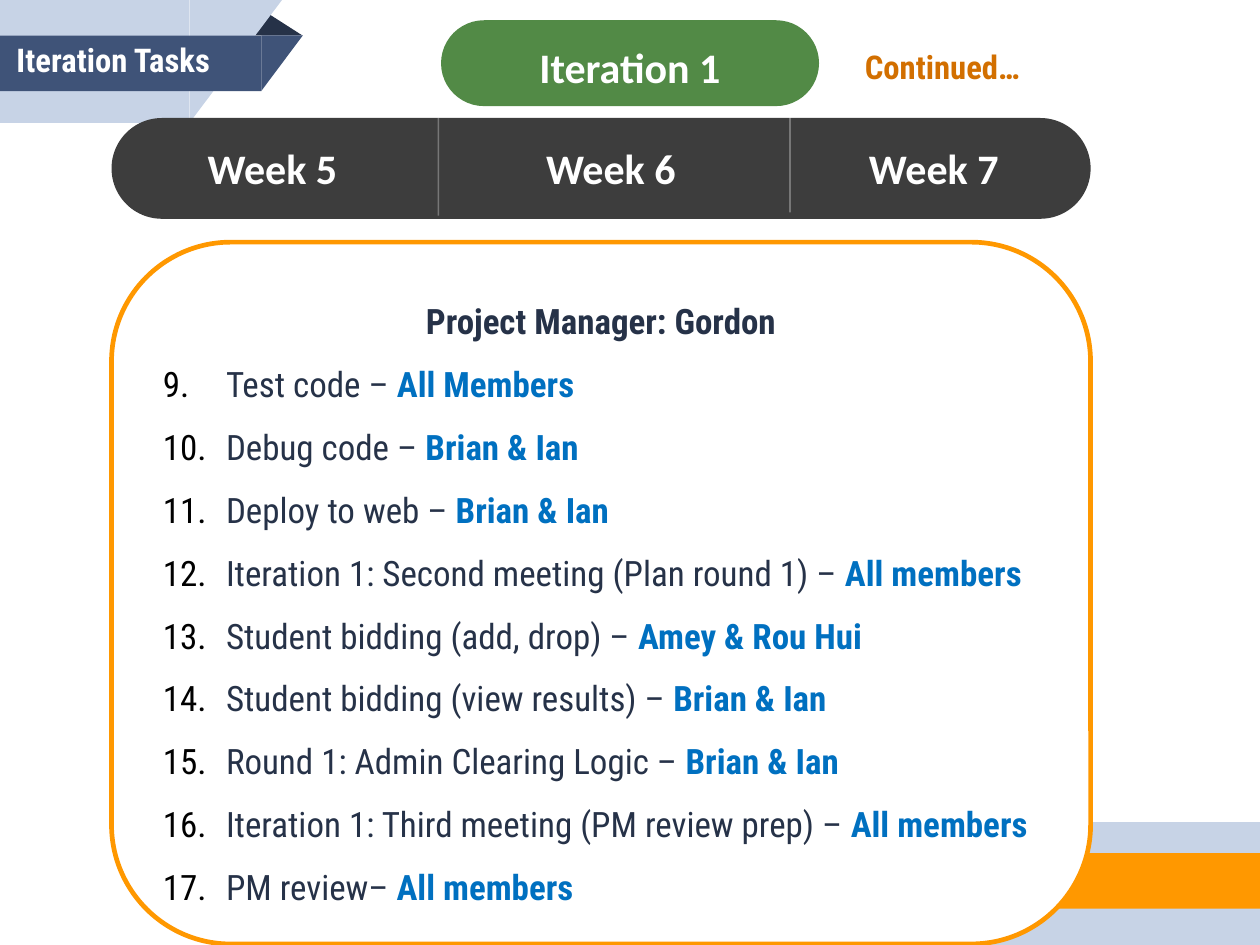
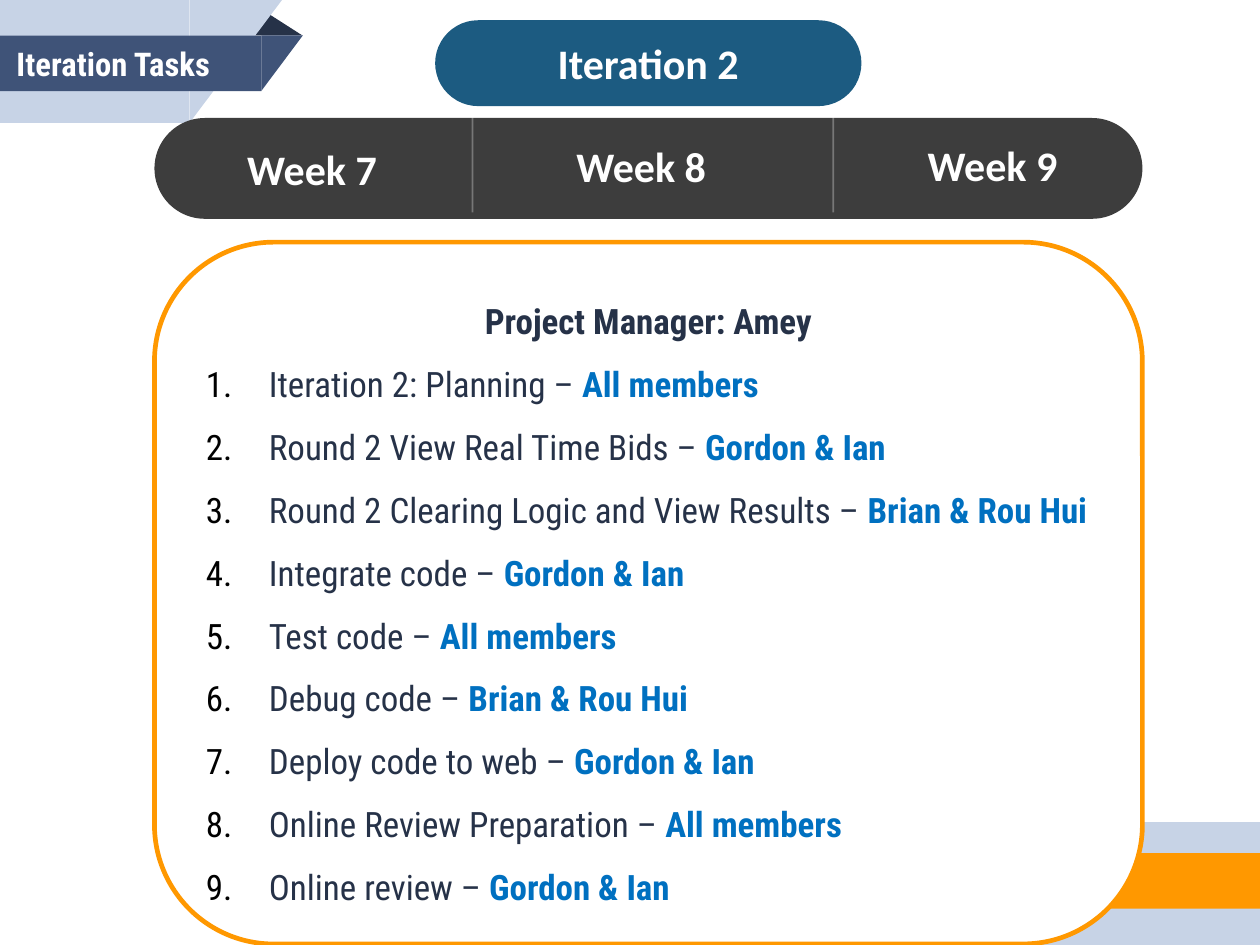
from dataclasses import dataclass

from lxml.etree import SubElement
from pptx import Presentation
from pptx.dml.color import RGBColor
from pptx.enum.shapes import MSO_CONNECTOR, MSO_SHAPE
from pptx.enum.text import MSO_ANCHOR, PP_ALIGN
from pptx.oxml.ns import qn
from pptx.shapes.autoshape import Shape
from pptx.slide import Slide
from pptx.text.text import TextFrame, _Paragraph
from pptx.util import Pt

COLORS = {
    "white": "FFFFFF",
    "black": "000000",
    "navy": "263248",
    "blue": "3F5378",
    "pale": "C7D3E6",
    "orange": "FF9800",
    "rust": "D26F00",
    "charcoal": "3D3D3D",
    "owner": "0070C0",
    "green": "528A46",
    "teal": "1C5B81",
}
BODY_FONT = "Roboto Condensed"
HEADER_FONT = "Calibri"
NUMBER_INDENT = 27
DIVIDER_LENGTH = 42
WEEK_HEIGHT = 38.2


@dataclass(frozen=True)
class Rect:
    left: float
    top: float
    width: float
    height: float


@dataclass(frozen=True)
class Band:
    kind: MSO_SHAPE
    rect: Rect
    color: str
    rotation: int = 0
    flip: bool = True


@dataclass(frozen=True)
class Week:
    text: str
    left: float
    top: float
    width: float = 76


@dataclass(frozen=True)
class Divider:
    left: float
    top: float = 49


@dataclass(frozen=True)
class Task:
    text: str
    owners: str


@dataclass(frozen=True)
class Iteration:
    name: str
    color: str
    pill: Rect
    pill_anchor: MSO_ANCHOR
    title_top: float
    left: float
    width: float
    weeks: list[Week]
    dividers: list[Divider]
    manager: str
    first_number: int
    alignment: PP_ALIGN
    tasks: list[Task]
    note: str = ""


# Corner ribbons shared by all slides
BANDS = [
    Band(MSO_SHAPE.ISOSCELES_TRIANGLE, Rect(106.6, 5.2, 23, 10), "navy", flip=False),
    Band(MSO_SHAPE.RECTANGLE, Rect(0, 0, 81.2, 52.6), "pale", 180),
    Band(MSO_SHAPE.RIGHT_TRIANGLE, Rect(81.2, 0, 39.6, 52.6), "pale", 180),
    Band(MSO_SHAPE.RECTANGLE, Rect(0, 15.2, 112, 23.8), "blue", 180),
    Band(MSO_SHAPE.RIGHT_TRIANGLE, Rect(112, 15.2, 17.8, 23.8), "blue", 180),
    Band(MSO_SHAPE.RECTANGLE, Rect(459, 352.4, 81, 52.6), "pale"),
    Band(MSO_SHAPE.RIGHT_TRIANGLE, Rect(419.6, 352.4, 39.4, 52.6), "pale"),
    Band(MSO_SHAPE.RECTANGLE, Rect(427.8, 365.7, 112.2, 23.8), "orange"),
]

ITERATIONS = [
    Iteration(
        name="Iteration 1",
        color="green",
        pill=Rect(189, 8.7, 162, 36.8),
        pill_anchor=MSO_ANCHOR.TOP,
        title_top=7.2,
        left=47.8,
        width=419.6,
        weeks=[
            Week("Week 5", 89, 52.6, 64),
            Week("Week 6", 234, 52.6),
            Week("Week 7", 372.4, 52.6),
        ],
        dividers=[Divider(187.9, 50.4), Divider(338.6)],
        manager="Gordon",
        first_number=9,
        alignment=PP_ALIGN.JUSTIFY,
        tasks=[
            Task("Test code – ", "All Members"),
            Task("Debug code – ", "Brian & Ian"),
            Task("Deploy to web – ", "Brian & Ian"),
            Task("Iteration 1: Second meeting (Plan round 1) – ", "All members"),
            Task("Student bidding (add, drop) – ", "Amey & Rou Hui"),
            Task("Student bidding (view results) – ", "Brian & Ian"),
            Task("Round 1: Admin Clearing Logic – ", "Brian & Ian"),
            Task("Iteration 1: Third meeting (PM review prep) – ", "All members"),
            Task("PM review– ", "All members"),
        ],
        note="Continued…",
    ),
    Iteration(
        name="Iteration 2",
        color="teal",
        pill=Rect(186.5, 8.7, 182.7, 36.8),
        pill_anchor=MSO_ANCHOR.MIDDLE,
        title_top=8.8,
        left=66.2,
        width=423.4,
        weeks=[
            Week("Week 7", 106, 53.4, 64),
            Week("Week 8", 247, 52),
            Week("Week 9", 397.6, 51.6),
        ],
        dividers=[Divider(202.5), Divider(357.1)],
        manager="Amey",
        first_number=1,
        alignment=PP_ALIGN.LEFT,
        tasks=[
            Task("Iteration 2: Planning – ", "All members"),
            Task("Round 2 View Real Time Bids – ", "Gordon & Ian"),
            Task("Round 2 Clearing Logic and View Results – ", "Brian & Rou Hui"),
            Task("Integrate code – ", "Gordon & Ian"),
            Task("Test code – ", "All members"),
            Task("Debug code – ", "Brian & Rou Hui"),
            Task("Deploy code to web – ", "Gordon & Ian"),
            Task("Online Review Preparation – ", "All members"),
            Task("Online review – ", "Gordon & Ian"),
        ],
    ),
]


def rgb(name: str) -> RGBColor:
    return RGBColor.from_string(COLORS[name])


def add_span(para: _Paragraph, text: str, size: float, color: str,
             bold: bool = True, font: str = BODY_FONT) -> None:
    span = para.add_run()
    span.text = text
    span.font.name = font
    span.font.size = Pt(size)
    span.font.bold = bold
    span.font.color.rgb = rgb(color)


def set_frame(frame: TextFrame, anchor: MSO_ANCHOR, side: float, end: float) -> None:
    frame.word_wrap = True
    frame.vertical_anchor = anchor
    frame.margin_left = frame.margin_right = Pt(side)
    frame.margin_top = frame.margin_bottom = Pt(end)


def add_filled(page: Slide, kind: MSO_SHAPE, rect: Rect, color: str) -> Shape:
    shape = page.shapes.add_shape(
        kind, Pt(rect.left), Pt(rect.top), Pt(rect.width), Pt(rect.height))
    shape.shadow.inherit = False
    shape.fill.solid()
    shape.fill.fore_color.rgb = rgb(color)
    shape.line.fill.background()
    return shape


def add_rounded(page: Slide, rect: Rect, color: str, rounding: float = 0.5) -> Shape:
    shape = add_filled(page, MSO_SHAPE.ROUNDED_RECTANGLE, rect, color)
    shape.adjustments[0] = rounding
    return shape


def add_label(page: Slide, rect: Rect, text: str, size: float, color: str,
              font: str = BODY_FONT, anchor: MSO_ANCHOR = MSO_ANCHOR.MIDDLE,
              side: float = 0, end: float = 0) -> None:
    box = page.shapes.add_textbox(
        Pt(rect.left), Pt(rect.top), Pt(rect.width), Pt(rect.height))
    set_frame(box.text_frame, anchor, side, end)
    add_span(box.text_frame.paragraphs[0], text, size, color, font=font)


def add_bands(page: Slide) -> None:
    for band in BANDS:
        shape = add_filled(page, band.kind, band.rect, band.color)
        shape.rotation = band.rotation
        if band.flip:
            shape._element.spPr.find(qn("a:xfrm")).set("flipH", "1")
        else:
            shape.adjustments[0] = 0.32


def add_divider(page: Slide, divider: Divider) -> None:
    line = page.shapes.add_connector(
        MSO_CONNECTOR.STRAIGHT, Pt(divider.left), Pt(divider.top),
        Pt(divider.left), Pt(divider.top + DIVIDER_LENGTH))
    line.line.width = Pt(0.75)
    line.line.color.rgb = rgb("white")
    properties = line._element.spPr
    color = properties.find(".//" + qn("a:srgbClr"))
    SubElement(color, qn("a:alpha"), val="30000")
    SubElement(properties, qn("a:effectLst"))


def number_paragraph(para: _Paragraph, first: int) -> None:
    properties = para._p.get_or_add_pPr()
    indent = Pt(NUMBER_INDENT)
    properties.set("marL", str(indent))
    properties.set("indent", str(-indent))
    color = SubElement(properties, qn("a:buClr"))
    SubElement(color, qn("a:srgbClr"), val=COLORS["black"])
    SubElement(properties, qn("a:buFont"), typeface=BODY_FONT)
    SubElement(properties, qn("a:buAutoNum"), type="arabicPeriod", startAt=str(first))


def add_tasks(page: Slide, iteration: Iteration) -> None:
    box = add_rounded(
        page, Rect(iteration.left, 103.8, iteration.width, 300.8), "white", 0.17)
    box.line.color.rgb = rgb("orange")
    box.line.width = Pt(2)
    frame = box.text_frame
    set_frame(frame, MSO_ANCHOR.MIDDLE, 7.2, 3.6)

    heading = frame.paragraphs[0]
    heading.alignment = PP_ALIGN.CENTER
    heading.line_spacing = 1.5
    add_span(heading, f"Project Manager: {iteration.manager}", 15, "navy")

    for task in iteration.tasks:
        para = frame.add_paragraph()
        para.alignment = iteration.alignment
        para.line_spacing = 1.5
        number_paragraph(para, iteration.first_number)
        add_span(para, task.text, 15, "navy", bold=False)
        add_span(para, task.owners, 15, "owner")


def add_iteration(deck: Presentation, iteration: Iteration) -> None:
    page = deck.slides.add_slide(deck.slide_layouts[6])
    add_bands(page)
    add_label(page, Rect(0, iteration.title_top, 129.6, 36.7),
              "Iteration Tasks", 14, "white", side=7.2, end=7.2)

    # Week bar
    add_rounded(page, Rect(iteration.left, 50.6, iteration.width, 43.2), "charcoal")
    for week in iteration.weeks:
        add_label(page, Rect(week.left, week.top, week.width, WEEK_HEIGHT),
                  week.text, 18, "white", HEADER_FONT)
    for divider in iteration.dividers:
        add_divider(page, divider)

    add_tasks(page, iteration)

    # Iteration heading
    pill = add_rounded(page, iteration.pill, iteration.color)
    set_frame(pill.text_frame, iteration.pill_anchor, 7.2, 3.6)
    para = pill.text_frame.paragraphs[0]
    para.alignment = PP_ALIGN.CENTER
    add_span(para, iteration.name, 18, "white", font=HEADER_FONT)
    if iteration.note:
        add_label(page, Rect(363.6, 16.6, 98.6, 24.5), iteration.note, 14, "rust",
                  anchor=MSO_ANCHOR.TOP, side=7.2, end=3.6)


def main() -> None:
    deck = Presentation()
    deck.slide_width, deck.slide_height = Pt(540), Pt(405)
    for iteration in ITERATIONS:
        add_iteration(deck, iteration)
    deck.save("out.pptx")


if __name__ == "__main__":
    main()
